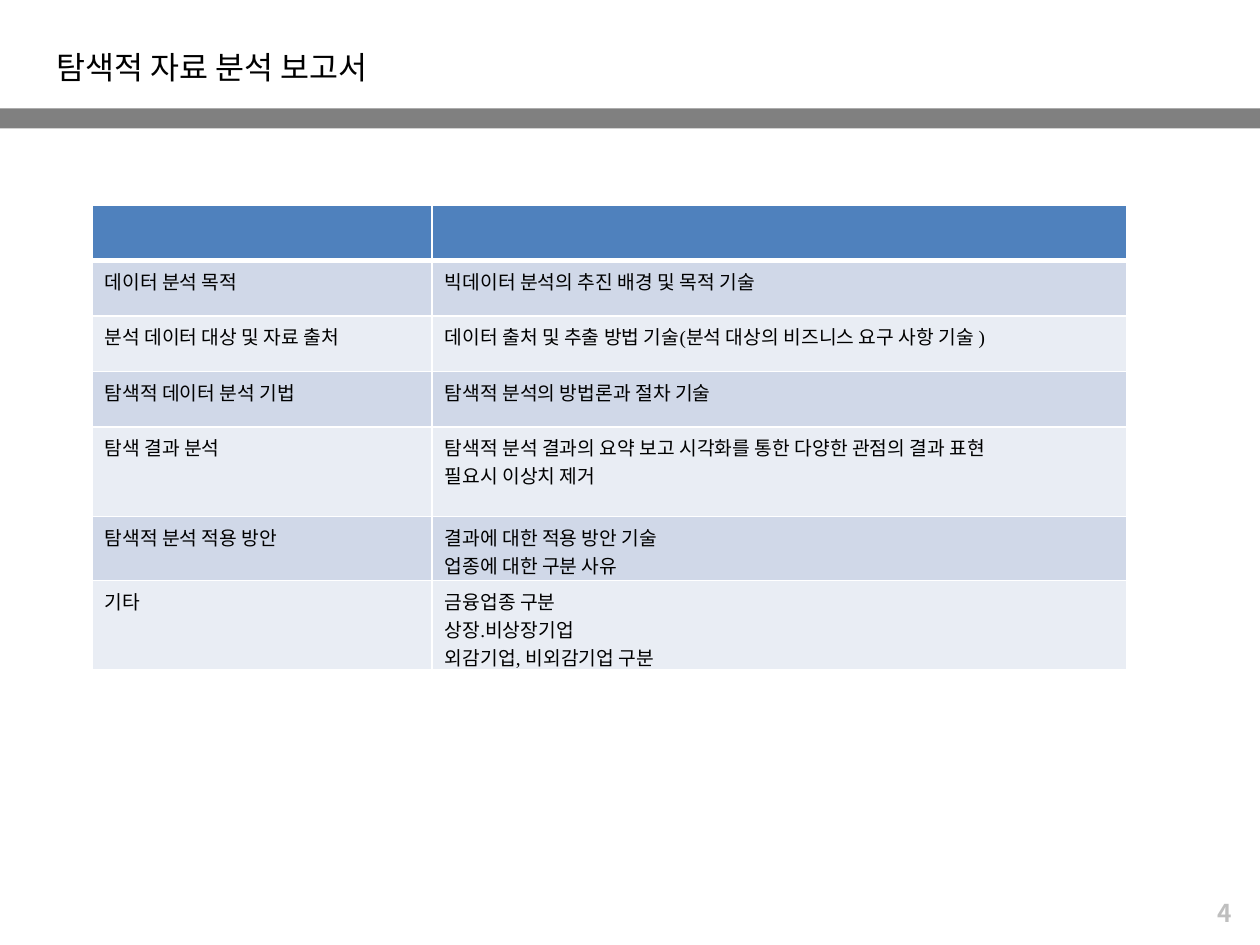
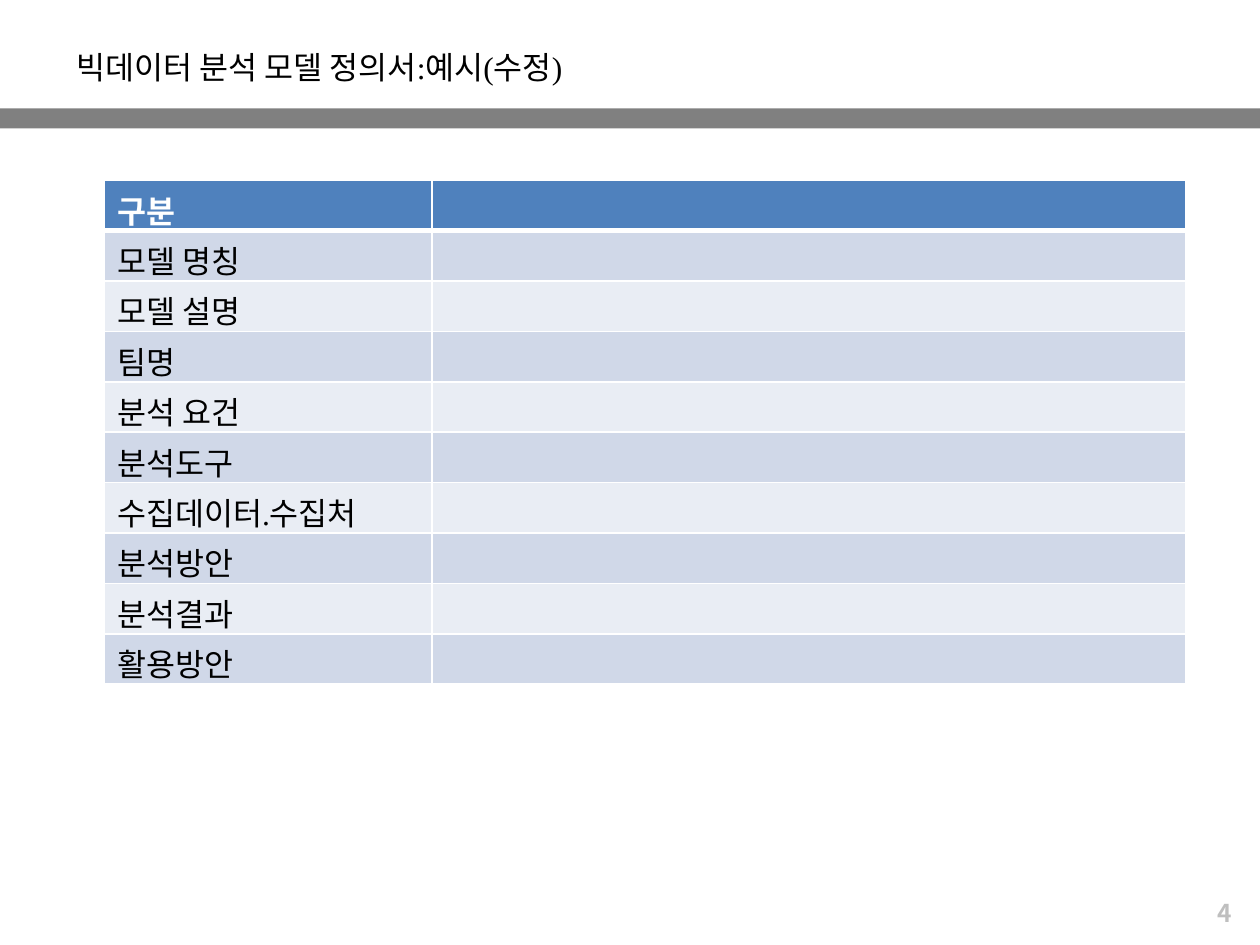
from dataclasses import dataclass

from lxml.etree import SubElement
from pptx import Presentation
from pptx.dml.color import RGBColor
from pptx.enum.shapes import MSO_SHAPE as Shape
from pptx.enum.text import MSO_ANCHOR as Anchor, MSO_AUTO_SIZE as AutoSize, PP_ALIGN as Align
from pptx.oxml.ns import qn
from pptx.slide import Slide
from pptx.table import _Cell as Cell
from pptx.text.text import TextFrame
from pptx.util import Inches, Pt

BLACK = RGBColor(0x00, 0x00, 0x00)
WHITE = RGBColor(0xFF, 0xFF, 0xFF)
BAND_GRAY = RGBColor(0x80, 0x80, 0x80)
NUMBER_GRAY = RGBColor(0xBF, 0xBF, 0xBF)
HEADER_BLUE = RGBColor(0x4F, 0x81, 0xBD)
ROW_FILLS = (RGBColor(0xE9, 0xED, 0xF4), RGBColor(0xD0, 0xD8, 0xE8))

BODY_FONT = "Times New Roman"
NUMBER_FONT = "Noto Sans CJK KR"
RULE, HEADER_RULE = 1, 3


@dataclass(frozen=True)
class Report:
    title: str
    title_left: float
    title_width: float
    left: float
    top: float
    columns: tuple[float, float]
    row_heights: list[float]
    rows: list[tuple[str, str]]
    text_size: int


REPORTS = [
    Report(
        title="탐색적 자료 분석 보고서", title_left=0.35, title_width=2.98,
        left=0.73, top=1.63, columns=(2.7, 5.51),
        row_heights=[0.44] * 4 + [0.71, 0.51, 0.71],
        rows=[
            ("", ""),
            ("데이터 분석 목적", "빅데이터 분석의 추진 배경 및 목적 기술"),
            ("분석 데이터 대상 및 자료 출처",
             "데이터 출처 및 추출 방법 기술(분석 대상의 비즈니스 요구 사항 기술 )"),
            ("탐색적 데이터 분석 기법", "탐색적 분석의 방법론과 절차 기술"),
            ("탐색 결과 분석",
             "탐색적 분석 결과의 요약 보고 시각화를 통한 다양한 관점의 결과 표현\n필요시 이상치 제거"),
            ("탐색적 분석 적용 방안", "결과에 대한 적용 방안 기술\n업종에 대한 구분 사유"),
            ("기타", "금융업종 구분\n상장.비상장기업\n외감기업, 비외감기업 구분"),
        ],
        text_size=11,
    ),
    Report(
        title="빅데이터 분석 모델 정의서:예시(수정)", title_left=0.51, title_width=4.48,
        left=0.83, top=1.43, columns=(2.6, 5.98),
        row_heights=[0.4] * 10,
        rows=[(label, "") for label in (
            "구분", "모델 명칭", "모델 설명", "팀명", "분석 요건", "분석도구",
            "수집데이터.수집처", "분석방안", "분석결과", "활용방안",
        )],
        text_size=18,
    ),
]


def write_text(frame: TextFrame, text: str, *, size: int, font: str = BODY_FONT,
               color: RGBColor = BLACK, bold: bool = False,
               align: Align = Align.LEFT) -> None:
    for index, line in enumerate(text.split("\n")):
        paragraph = frame.add_paragraph() if index else frame.paragraphs[0]
        paragraph.alignment = align
        run = paragraph.add_run()
        run.text = line
        run.font.name = font
        run.font.size = Pt(size)
        run.font.bold = bold
        run.font.color.rgb = color


def set_borders(cell: Cell, top: int, bottom: int) -> None:
    properties = cell._tc.get_or_add_tcPr()
    for side, width in (("L", RULE), ("R", RULE), ("T", top), ("B", bottom)):
        line = SubElement(properties, qn(f"a:ln{side}"), w=str(Pt(width)))
        fill = SubElement(line, qn("a:solidFill"))
        SubElement(fill, qn("a:srgbClr"), val=str(WHITE))


def add_title(slide: Slide, report: Report) -> None:
    title = slide.shapes.title
    title.left, title.top = Inches(report.title_left), Inches(0.38)
    title.width, title.height = Inches(report.title_width), Inches(0.4)
    frame = title.text_frame
    frame.auto_size = AutoSize.NONE
    frame.word_wrap = False
    frame.vertical_anchor = Anchor.TOP
    frame.margin_top = 0
    write_text(frame, report.title, size=18)


def add_band_and_number(slide: Slide) -> None:
    band = slide.shapes.add_shape(Shape.RECTANGLE, 0, Inches(0.86), Inches(10), Inches(0.16))
    band.shadow.inherit = False
    band.fill.solid()
    band.fill.fore_color.rgb = BAND_GRAY
    band.line.fill.background()
    number = slide.shapes.add_textbox(Inches(8.31), Inches(7.08), Inches(1.57), Inches(0.34))
    number.text_frame.word_wrap = True
    write_text(number.text_frame, "4", size=14, font=NUMBER_FONT, color=NUMBER_GRAY,
               bold=True, align=Align.RIGHT)


def add_report_table(slide: Slide, report: Report) -> None:
    table = slide.shapes.add_table(
        len(report.rows), len(report.columns), Inches(report.left), Inches(report.top),
        Inches(sum(report.columns)), Inches(sum(report.row_heights))).table
    table.first_row = table.horz_banding = False
    for column, width in zip(table.columns, report.columns):
        column.width = Inches(width)
    for index, (row, height, texts) in enumerate(
            zip(table.rows, report.row_heights, report.rows)):
        row.height = Inches(height)
        is_header = index == 0
        for cell, text in zip(row.cells, texts):
            set_borders(cell, top=HEADER_RULE if index == 1 else RULE,
                        bottom=HEADER_RULE if is_header else RULE)
            cell.fill.solid()
            cell.fill.fore_color.rgb = HEADER_BLUE if is_header else ROW_FILLS[index % 2]
            cell.margin_bottom = 0
            if text:
                write_text(cell.text_frame, text, size=report.text_size, bold=is_header,
                           color=WHITE if is_header else BLACK)


def main() -> None:
    deck = Presentation()
    deck.slide_width, deck.slide_height = Inches(10), Inches(7.5)
    title_only = deck.slide_layouts[5]
    for report in REPORTS:
        slide = deck.slides.add_slide(title_only)
        add_band_and_number(slide)
        add_title(slide, report)
        add_report_table(slide, report)
    deck.save("out.pptx")


if __name__ == "__main__":
    main()
